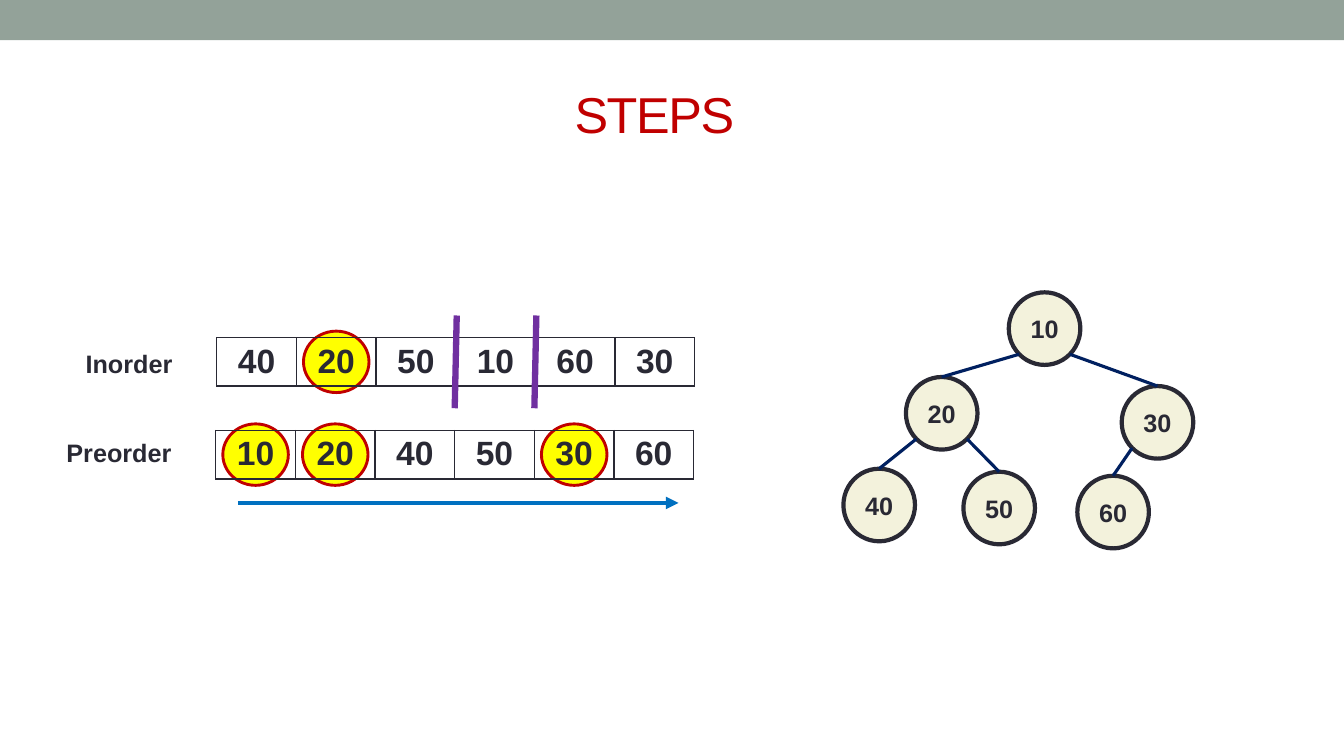
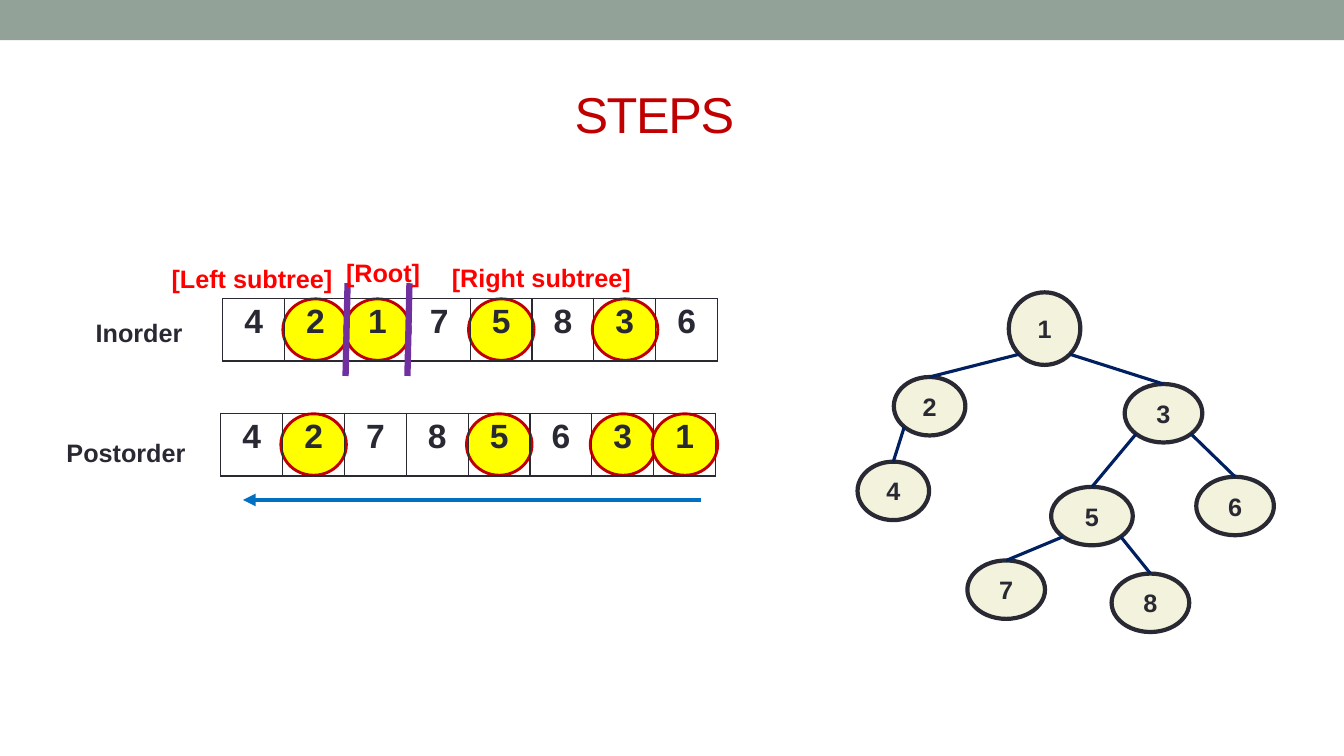
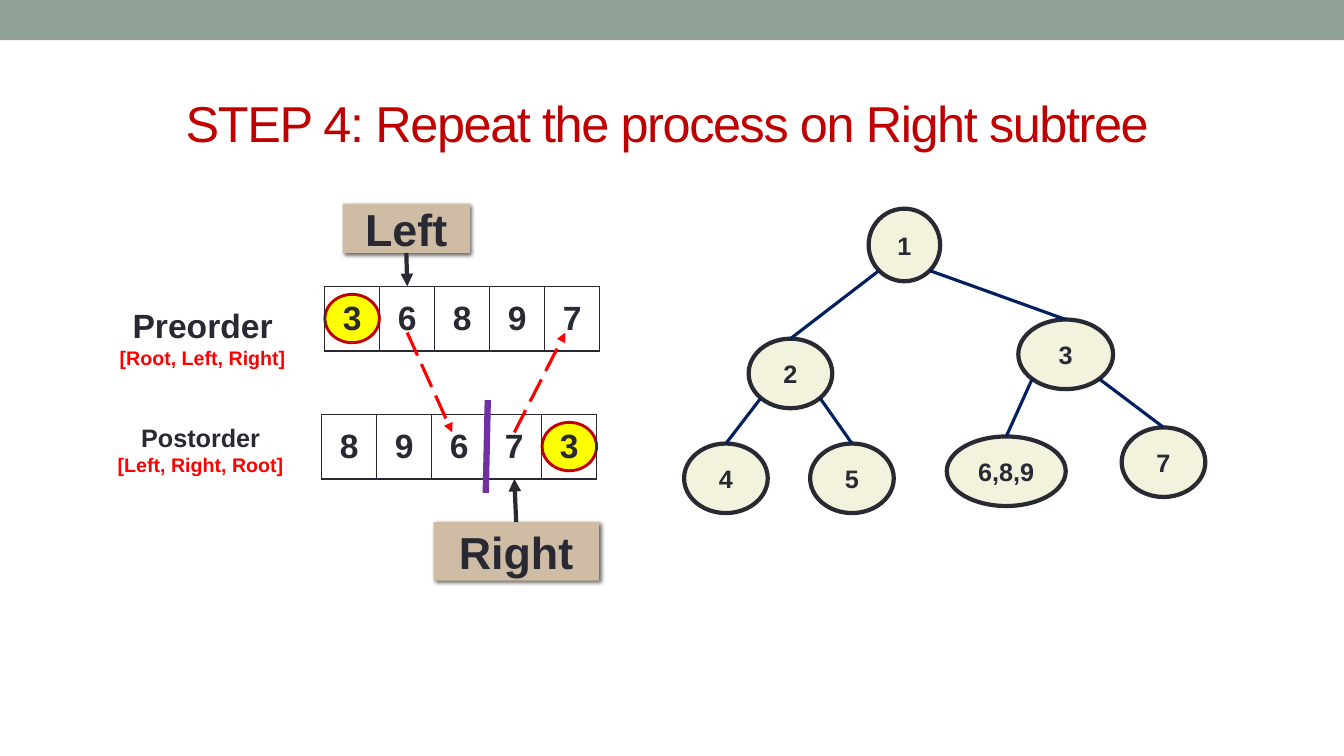
import math

from pptx import Presentation
from pptx.dml.color import RGBColor
from pptx.enum import dml, shapes, text
from pptx.oxml import parse_xml
from pptx.oxml.ns import nsdecls, qn
from pptx.util import Inches, Pt

FONT = "Arial"
COLORS = {
    "band": "93A299", "title": "C00000", "ink": "292934", "red": "FF0000",
    "yellow": "FFFF00", "node": "F3F2DC", "callout": "CEBCA4",
    "purple": "7030A0", "blue": "0070C0", "navy": "002060",
}
OVAL = shapes.MSO_SHAPE.OVAL
RECTANGLE = shapes.MSO_SHAPE.RECTANGLE
MIDDLE = text.MSO_ANCHOR.MIDDLE
TITLE_SIZE = (12, 0.72)
ROOT_SIZE = (0.71, 0.72)
LABEL_SIZE = (2.4, 0.4)

# outline, fill, line colour, line width, text size
SHAPE_STYLES = {
    "mark": (OVAL, "yellow", "title", 2.08, 18),
    "node": (OVAL, "node", "ink", 3, 18),
    "callout": (RECTANGLE, "callout", None, 0, 32),
}
# colour, width, dashed, arrowhead
LINE_STYLES = {
    "divider": ("purple", 4.5, False, False),
    "scan": ("blue", 3, False, True),
    "pointer": ("ink", 3, False, True),
    "match": ("red", 2.25, True, True),
    "edge": ("navy", 2.25, False, False),
}

# rows: left, top, values, marked values, values with a divider before them
# labels: centre, top, size, text
# nodes: centre, top, parent, with an optional width
# callouts: row, value pointed at, box
SLIDES = [
    {
        "title": "STEPS", "title_at": (0.49, 0.76), "anchor": text.MSO_ANCHOR.TOP,
        "row_size": (4.74, 0.48), "mark_size": (0.65, 0.61), "scan": "right",
        "rows": [(2.15, 3.35, "40 20 50 10 60 30", "20", "10 60"),
                 (2.14, 4.27, "10 20 40 50 30 60", "10 20 30", "")],
        "labels": [(1.28, 3.41, 18, "Inorder"), (1.18, 4.29, 18, "Preorder")],
        "node_size": ROOT_SIZE,
        "nodes": {"10": (10.36, 2.9, None), "20": (9.34, 3.74, "10"),
                  "30": (11.48, 3.83, "10"), "40": (8.72, 4.65, "20"),
                  "50": (9.91, 4.68, "20"), "60": (11.04, 4.72, "30")},
        "callouts": {}, "matches": [],
    },
    {
        "title": "STEPS", "title_at": (0.49, 0.76), "anchor": text.MSO_ANCHOR.TOP,
        "row_size": (4.91, 0.62), "mark_size": (0.65, 0.61), "scan": "left",
        "rows": [(2.21, 2.96, "4 2 1 7 5 8 3 6", "2 1 5 3", "1 7"),
                 (2.19, 4.1, "4 2 7 8 5 6 3 1", "2 5 3 1", "")],
        "labels": [(1.38, 3.1, 18, "Inorder"), (1.25, 4.29, 18, "Postorder"),
                   (2.5, 2.56, 18, "[Left subtree]"), (3.8, 2.5, 18, "[Root]"),
                   (5.37, 2.55, 18, "[Right subtree]")],
        "node_size": (0.77, 0.58),
        "nodes": {"1": (10.36, 2.9, None), "2": (9.22, 3.74, "1", 0.71),
                  "3": (11.54, 3.81, "1"), "4": (8.86, 4.58, "2", 0.71),
                  "5": (10.83, 4.83, "3", 0.81), "6": (12.25, 4.73, "3"),
                  "7": (9.98, 5.56, "5"), "8": (11.41, 5.69, "5")},
        "callouts": {}, "matches": [],
    },
    {
        "title": "STEP 4: Repeat the process on Right subtree",
        "title_at": (0.62, 0.85), "anchor": MIDDLE,
        "row_size": (2.73, 0.64), "mark_size": (0.54, 0.48), "scan": None,
        "rows": [(3.22, 2.84, "3 6 8 9 7", "3", ""),
                 (3.19, 4.11, "8 9 6 7 3", "3", "7")],
        "labels": [(2.01, 2.98, 24, "Preorder\n[Root, Left, Right]"),
                   (1.99, 4.14, 18, "Postorder\n[Left, Right, Root]")],
        "node_size": (0.83, 0.69),
        "nodes": {"1": (8.97, 2.07, None), "2": (7.84, 3.36, "1"),
                  "3": (10.57, 3.17, "1", 0.94), "4": (7.2, 4.4, "2"),
                  "5": (8.45, 4.4, "2"), "6,8,9": (9.98, 4.33, "3", 1.18),
                  "7": (11.54, 4.24, "3")},
        "callouts": {"Left": (0, "6", (3.4, 2.02, 1.26, 0.49)),
                     "Right": (1, "7", (4.3, 5.18, 1.64, 0.58))},
        "matches": [("6", 0, 1), ("7", 1, 0)],
    },
]


def write_lines(text_frame, lines):
    """Write centred bold paragraphs given as (text, size, colour name)."""
    text_frame.text = "\n".join(line[0] for line in lines)
    for paragraph, (_, size, color) in zip(text_frame.paragraphs, lines):
        paragraph.alignment = text.PP_ALIGN.CENTER
        font = paragraph.runs[0].font
        font.name, font.size, font.bold = FONT, Pt(size), True
        font.color.rgb = RGBColor.from_string(COLORS[color])


def add_line(slide, style, begin, end):
    color, width, dashed, arrow = LINE_STYLES[style]
    connector = slide.shapes.add_connector(
        shapes.MSO_CONNECTOR.STRAIGHT, *map(Inches, begin + end))
    connector.line.color.rgb = RGBColor.from_string(COLORS[color])
    connector.line.width = Pt(width)
    if dashed:
        connector.line.dash_style = dml.MSO_LINE.LONG_DASH
    properties = connector.element.spPr
    if arrow:
        properties.find(qn("a:ln")).append(
            parse_xml(f'<a:tailEnd {nsdecls("a")} type="triangle"/>'))
    properties.append(parse_xml(f'<a:effectLst {nsdecls("a")}/>'))
    return connector


presentation = Presentation()
presentation.slide_width = Inches(13.33)
presentation.slide_height = Inches(7.5)
master = presentation.slide_master
layout = presentation.slide_layouts.get_by_name("Title Only")

title_font = master.element.find(".//" + qn("p:titleStyle")).find(
    qn("a:lvl1pPr")).find(qn("a:defRPr"))
title_font.set("sz", "3600")
title_font.set("spc", "-100")
title_font.find(qn("a:latin")).set("typeface", FONT)
title_font.replace(title_font.find(qn("a:solidFill")), parse_xml(
    f'<a:solidFill {nsdecls("a")}><a:srgbClr val="{COLORS["title"]}"/></a:solidFill>'))

for number, content in enumerate(SLIDES):
    slide = presentation.slides.add_slide(layout)
    if number == 0:
        # The band is shared, so it moves to the back of the master
        band = slide.shapes.add_shape(
            RECTANGLE, 0, 0, presentation.slide_width, Inches(0.4))
        band.shadow.inherit = False
        band.fill.solid()
        band.fill.fore_color.rgb = RGBColor.from_string(COLORS["band"])
        band.line.fill.background()
        master.shapes.element.insert(2, band.element)

    title = slide.shapes.title
    title.left, title.top, title.width, title.height = map(
        Inches, content["title_at"] + TITLE_SIZE)
    title.text_frame.text = content["title"]

    # Cell centres by value, one dict per row, then every shape's box
    row_width, row_height = content["row_size"]
    mark_width, mark_height = content["mark_size"]
    row_centers, outlines, boxes = [], [], {}
    for left, top, values, marked, _ in content["rows"]:
        values = values.split()
        cell_width = row_width / len(values)
        middle = top + row_height / 2
        centers = {value: (left + cell_width * (column + 0.5), middle)
                   for column, value in enumerate(values)}
        row_centers.append(centers)
        for value in marked.split():
            outlines.append(("mark", "", (centers[value][0] - mark_width / 2,
                                          middle - mark_height / 2,
                                          mark_width, mark_height)))
    for label, (center, top, parent, *own_width) in content["nodes"].items():
        width, height = content["node_size"] if parent else ROOT_SIZE
        width = own_width[0] if own_width else width
        boxes[label] = (center - width / 2, top, width, height)
        outlines.append(("node", label, boxes[label]))
    for label, (_, _, box) in content["callouts"].items():
        outlines.append(("callout", label, box))

    drawn = {}
    for style, label, box in outlines:
        outline, fill, line_color, line_width, size = SHAPE_STYLES[style]
        shape = slide.shapes.add_shape(outline, *map(Inches, box))
        shape.fill.solid()
        shape.fill.fore_color.rgb = RGBColor.from_string(COLORS[fill])
        if line_color:
            shape.line.color.rgb = RGBColor.from_string(COLORS[line_color])
            shape.line.width = Pt(line_width)
        else:
            shape.line.fill.background()
        shape.shadow.inherit = False
        if style == "callout":
            shape.element.spPr.find(qn("a:effectLst")).append(parse_xml(
                f'<a:outerShdw {nsdecls("a")} blurRad="{Pt(3)}" dist="{Pt(2)}" dir="2700000">'
                '<a:srgbClr val="000000"><a:alpha val="60000"/></a:srgbClr></a:outerShdw>'))
        if label:
            shape.text_frame.word_wrap = False
            shape.text_frame.vertical_anchor = MIDDLE
            write_lines(shape.text_frame, [(label, size, "ink")])
            drawn[label] = shape

    for (left, top, _, _, divided), centers in zip(content["rows"], row_centers):
        table = slide.shapes.add_table(
            1, len(centers), *map(Inches, (left, top, row_width, row_height))).table
        table.first_row = table.horz_banding = False
        cell_width = row_width / len(centers)
        for column, value in enumerate(centers):
            table.columns[column].width = Inches(cell_width)
            cell = table.cell(0, column)
            cell.vertical_anchor = content["anchor"]
            cell.fill.background()
            write_lines(cell.text_frame, [(value, 24, "ink")])
            for position, side in enumerate(("lnL", "lnR", "lnT", "lnB")):
                width = Pt(2 if side == "lnB" else 1)
                cell._tc.get_or_add_tcPr().insert(position, parse_xml(
                    f'<a:{side} {nsdecls("a")} w="{width}"><a:solidFill>'
                    f'<a:srgbClr val="{COLORS["ink"]}"/></a:solidFill></a:{side}>'))
        for value in divided.split():
            x, y = centers[value]
            x -= cell_width / 2
            add_line(slide, "divider", (x + 0.01, y - 0.46), (x - 0.01, y + 0.46))

    if content["scan"]:
        left, top = content["rows"][-1][:2]
        y = top + row_height + 0.24
        ends = [(left + 0.22, y), (left + row_width - 0.15, y)]
        add_line(slide, "scan", *(ends if content["scan"] == "right" else ends[::-1]))

    for child, (center, top, parent, *_) in content["nodes"].items():
        if parent:
            left, parent_top, width, height = boxes[parent]
            # Leave the parent's outline at 45 degrees, on the child's side
            middle = left + width / 2
            reach = math.copysign(math.sqrt(0.5), center - middle) / 2
            begin = (middle + width * reach, parent_top + height * (0.5 + abs(reach)))
            add_line(slide, "edge", begin, (center, top)).end_connect(drawn[child], 0)

    for label, (row, value, _) in content["callouts"].items():
        x, y = row_centers[row][value]
        tip = (x, y + (row_height / 2 if row else -row_height / 2))
        pointer = add_line(slide, "pointer", tip, tip)
        pointer.begin_connect(drawn[label], 0 if row else 2)

    for value, source, target in content["matches"]:
        (x1, y1), (x2, y2) = row_centers[source][value], row_centers[target][value]
        gap = math.copysign(0.14, y2 - y1)
        add_line(slide, "match", (x1, y1 + gap), (x2 - 0.07, y2 - gap))

    for center, top, size, words in content["labels"]:
        left = center - LABEL_SIZE[0] / 2
        label = slide.shapes.add_textbox(*map(Inches, (left, top) + LABEL_SIZE))
        label.text_frame.word_wrap = True
        write_lines(label.text_frame, [
            (line, 14 if position else size, "red" if line.startswith("[") else "ink")
            for position, line in enumerate(words.split("\n"))])

presentation.save("out.pptx")
